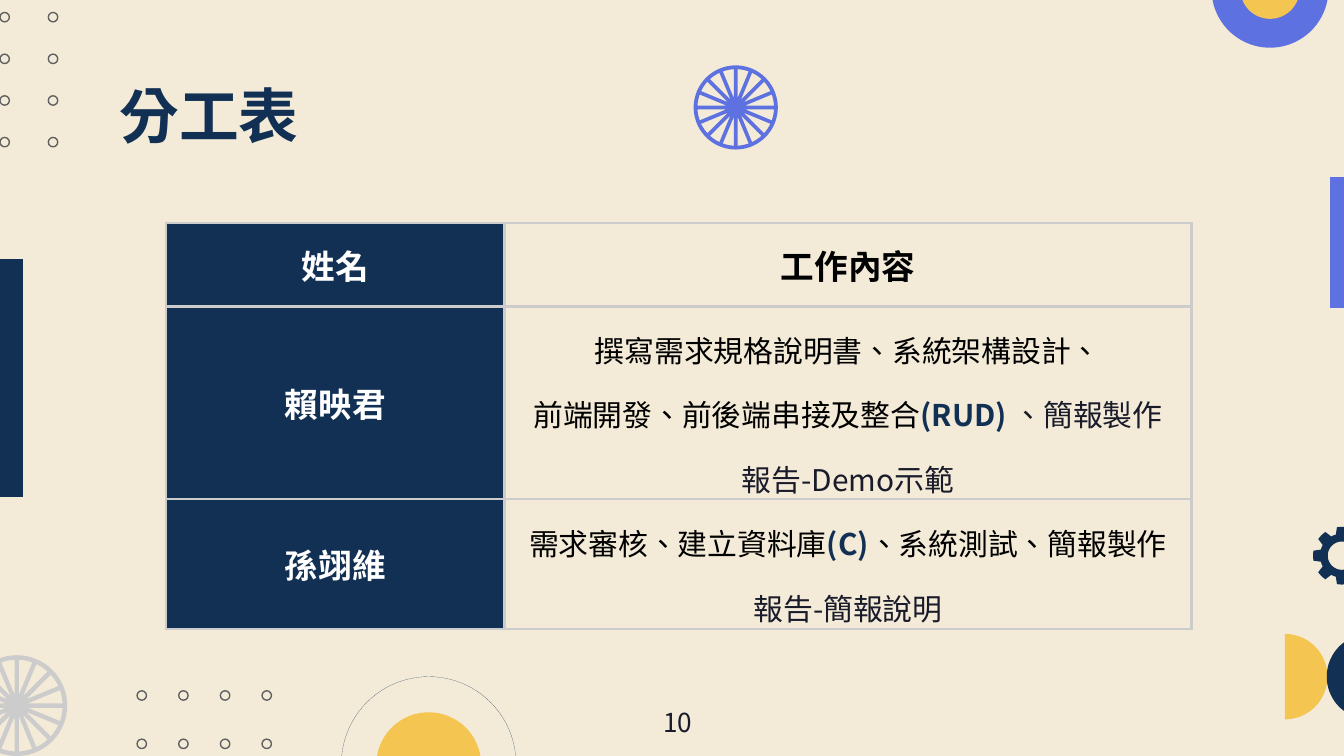
from dataclasses import dataclass
from math import asin, cos, degrees, radians, sin

from lxml import etree
from pptx import Presentation
from pptx import util as u
from pptx.dml.color import RGBColor
from pptx.enum import shapes, text
from pptx.oxml.ns import qn

WIDTH = u.Inches(10)
HEIGHT = WIDTH * 9 // 16
UNIT = WIDTH / 100
FONT = "Noto Sans CJK SC"
COLORS = {
    "cream": "F3EBD8", "navy": "123054", "violet": "5D71E0", "yellow": "F4C551",
    "silver": "CCCCCC", "dot": "606060", "white": "FFFFFF", "black": "000000",
    "ink": "191A2A",
}
Point = tuple[float, float]


@dataclass
class Run:
    text: str
    size: float
    color: str
    bold: bool = False


@dataclass
class Sector:
    x: float
    y: float
    radius: float
    start: float
    color: str


@dataclass
class Wheel:
    x: float
    y: float
    radius: float
    color: str


@dataclass
class Block:
    x: float
    y: float
    w: float
    h: float
    color: str


@dataclass
class DotGrid:
    x: float
    y: float
    cols: int
    rows: int
    dx: float
    dy: float


@dataclass
class Cell:
    paragraphs: list[list[Run]]
    fill: str | None = None
    spacing: float | None = None
    after: float | None = None


def grid(n: float) -> u.Emu:
    return u.Emu(round(n * UNIT))


def rgb(name: str) -> RGBColor:
    return RGBColor.from_string(COLORS[name])


def arc(x: float, y: float, r: float, start: float, end: float, steps: int) -> list[Point]:
    angles = [radians(start + (end - start) * i / steps) for i in range(steps + 1)]
    return [(x + r * cos(a), y + r * sin(a)) for a in angles]


def draw_outline(s, contours: list[list[Point]], color: str) -> None:
    paths = [[(grid(x), grid(y)) for x, y in c] for c in contours]
    builder = s.shapes.build_freeform(*paths[0][0], scale=1.0)
    for i, path in enumerate(paths):
        if i:
            builder.move_to(*path[0])
        builder.add_line_segments(path[1:], close=True)
    sp = builder.convert_to_shape()
    sp.shadow.inherit = False
    sp.fill.solid()
    sp.fill.fore_color.rgb = rgb(color)
    sp.line.fill.background()


def draw_sector(s, d: Sector) -> None:
    draw_outline(s, [arc(d.x, d.y, d.radius, d.start, d.start + 180, 48)], d.color)


def draw_wheel(s, d: Wheel, spokes: int = 16) -> None:
    step = 360 / spokes
    half, inner = 0.044 * d.radius, 0.91 * d.radius
    tip = half / sin(radians(step / 2))
    spread = step / 2 - degrees(asin(half / inner))
    contours = [arc(d.x, d.y, d.radius, 0, 360, 96)]
    for i in range(spokes):
        mid = (i + 0.5) * step
        contours.append(arc(d.x, d.y, tip, mid, mid, 1)[:1]
                        + arc(d.x, d.y, inner, mid - spread, mid + spread, 6))
    draw_outline(s, contours, d.color)


def draw_gear(s, d: Wheel, teeth: int = 8) -> None:
    rim: list[Point] = []
    for i in range(teeth):
        mid = i * 360 / teeth
        rim += arc(d.x, d.y, d.radius, mid - 10, mid + 10, 4)
        rim += arc(d.x, d.y, d.radius * 0.76, mid + 16, mid + 29, 4)
    draw_outline(s, [rim, arc(d.x, d.y, d.radius * 0.49, 0, 360, 48)], d.color)


def draw_block(s, d: Block) -> None:
    corners = [(d.x, d.y), (d.x + d.w, d.y), (d.x + d.w, d.y + d.h), (d.x, d.y + d.h)]
    draw_outline(s, [corners], d.color)


def draw_circle(s, x: float, y: float, size: float, color: str, width: float) -> None:
    sp = s.shapes.add_shape(shapes.MSO_SHAPE.OVAL, *map(grid, (x, y, size, size)))
    sp.shadow.inherit = False
    sp.fill.background()
    sp.line.color.rgb = rgb(color)
    sp.line.width = u.Pt(width)


def draw_dots(s, d: DotGrid) -> None:
    for row in range(d.rows):
        for col in range(d.cols):
            draw_circle(s, d.x + col * d.dx, d.y + row * d.dy, 0.7, "dot", 0.75)


def add_run(p, run: Run) -> None:
    r = p.add_run()
    r.text = run.text
    r.font.size, r.font.bold, r.font.name = u.Pt(run.size), run.bold, FONT
    r.font.color.rgb = rgb(run.color)
    r.font._element.set("lang", "zh-TW")
    etree.SubElement(r.font._element, qn("a:ea"), typeface=FONT)


def add_text(s, x: float, y: float, w: float, h: float, run: Run):
    tf = s.shapes.add_textbox(*map(grid, (x, y, w, h))).text_frame
    add_run(tf.paragraphs[0], run)
    return tf


def fill_cell(cell, d: Cell) -> None:
    margin = grid(1) if d.fill else 0
    cell.margin_left = cell.margin_right = margin
    cell.margin_top = cell.margin_bottom = 0
    cell.vertical_anchor = text.MSO_ANCHOR.MIDDLE
    tf = cell.text_frame
    for i, runs in enumerate(d.paragraphs):
        p = tf.add_paragraph() if i else tf.paragraphs[0]
        p.alignment = text.PP_ALIGN.CENTER
        p.line_spacing = d.spacing
        if d.after:
            p.space_after = u.Pt(d.after)
        for run in runs:
            add_run(p, run)
    tcPr = cell._tc.get_or_add_tcPr()
    for side in ("lnL", "lnR", "lnT", "lnB"):
        ln = etree.SubElement(tcPr, qn(f"a:{side}"), w=str(u.Pt(1.5)))
        fill = etree.SubElement(ln, qn("a:solidFill"))
        etree.SubElement(fill, qn("a:srgbClr"), val=COLORS["silver"])
    if d.fill:
        cell.fill.solid()
        cell.fill.fore_color.rgb = rgb(d.fill)
    else:
        cell.fill.background()


def draw_table(s, rows: list[list[Cell]]) -> None:
    widths, heights = (25.2, 51.1), (6.2, 14.35, 9.65)
    frame = s.shapes.add_table(len(rows), len(widths), grid(12.35), grid(16.6),
                               grid(sum(widths)), grid(sum(heights)))
    table = frame.table
    table.first_row = table.horz_banding = False
    for column, width in zip(table.columns, widths):
        column.width = grid(width)
    for i, row in enumerate(rows):
        table.rows[i].height = grid(heights[i])
        for j, d in enumerate(row):
            fill_cell(table.cell(i, j), d)


def label(words: str, after: float | None = None) -> Cell:
    return Cell([[Run(words, 18, "white", True)]], "navy", after=after)


def main() -> None:
    prs = Presentation()
    prs.slide_width, prs.slide_height = WIDTH, HEIGHT
    s = prs.slides.add_slide(prs.slide_layouts[6])
    s.background.fill.solid()
    s.background.fill.fore_color.rgb = rgb("cream")

    for d in (Sector(94.5, -0.8, 4.35, 0, "violet"), Sector(94.5, -0.8, 2.2, 0, "yellow"),
              Sector(31.9, 56.9, 3.9, 180, "yellow"), Sector(95.6, 50.35, 3.18, -90, "yellow"),
              Sector(101.9, 50.35, 3.18, 90, "navy")):
        draw_sector(s, d)
    draw_circle(s, 25.4, 50.35, 13, "navy", 0.05)
    for d in (DotGrid(0, 0.93, 2, 4, 3.6, 3.1), DotGrid(10.2, 51.4, 4, 2, 3.1, 3.6)):
        draw_dots(s, d)
    for d in (Block(-1.2, 19.3, 2.9, 17.7, "navy"), Block(98.95, 13.2, 4.5, 9.7, "violet")):
        draw_block(s, d)
    for d in (Wheel(1.25, 52.5, 3.75, "silver"), Wheel(54.75, 8, 3.13, "violet")):
        draw_wheel(s, d)
    draw_gear(s, Wheel(99.85, 41.35, 2.15, "navy"))

    tf = add_text(s, 7.9, 4.9, 84.3, 6.3, Run("分工表", 32, "navy", True))
    tf.word_wrap = True
    tf.margin_left = tf.margin_right = tf.margin_top = tf.margin_bottom = grid(1)

    draw_table(s, [
        [label("姓名"), Cell([[Run("工作內容", 18, "black", True)]])],
        [label("賴映君", 12), Cell([
            [Run("撰寫需求規格說明書、系統架構設計、", 16, "black")],
            [Run("前端開發、前後端串接及整合", 16, "black"), Run("(RUD)", 16, "navy", True),
             Run(" 、簡報製作", 16, "ink")],
            [Run("報告-Demo示範", 16, "ink")]], spacing=1.5)],
        [label("孫翊維"), Cell([
            [Run("需求審核、建立資料庫", 16, "black"), Run("(C)", 16, "navy", True),
             Run("、系統測試、簡報製作", 16, "black")],
            [Run("報告-簡報說明", 16, "ink")]], spacing=1.5)],
    ])

    tf = add_text(s, 48.3, 52.1, 4.3, 3.4, Run("10", 14, "ink"))
    tf.word_wrap = False
    tf.auto_size = text.MSO_AUTO_SIZE.SHAPE_TO_FIT_TEXT
    tf.paragraphs[0].alignment = text.PP_ALIGN.CENTER
    prs.save("out.pptx")


if __name__ == "__main__":
    main()
